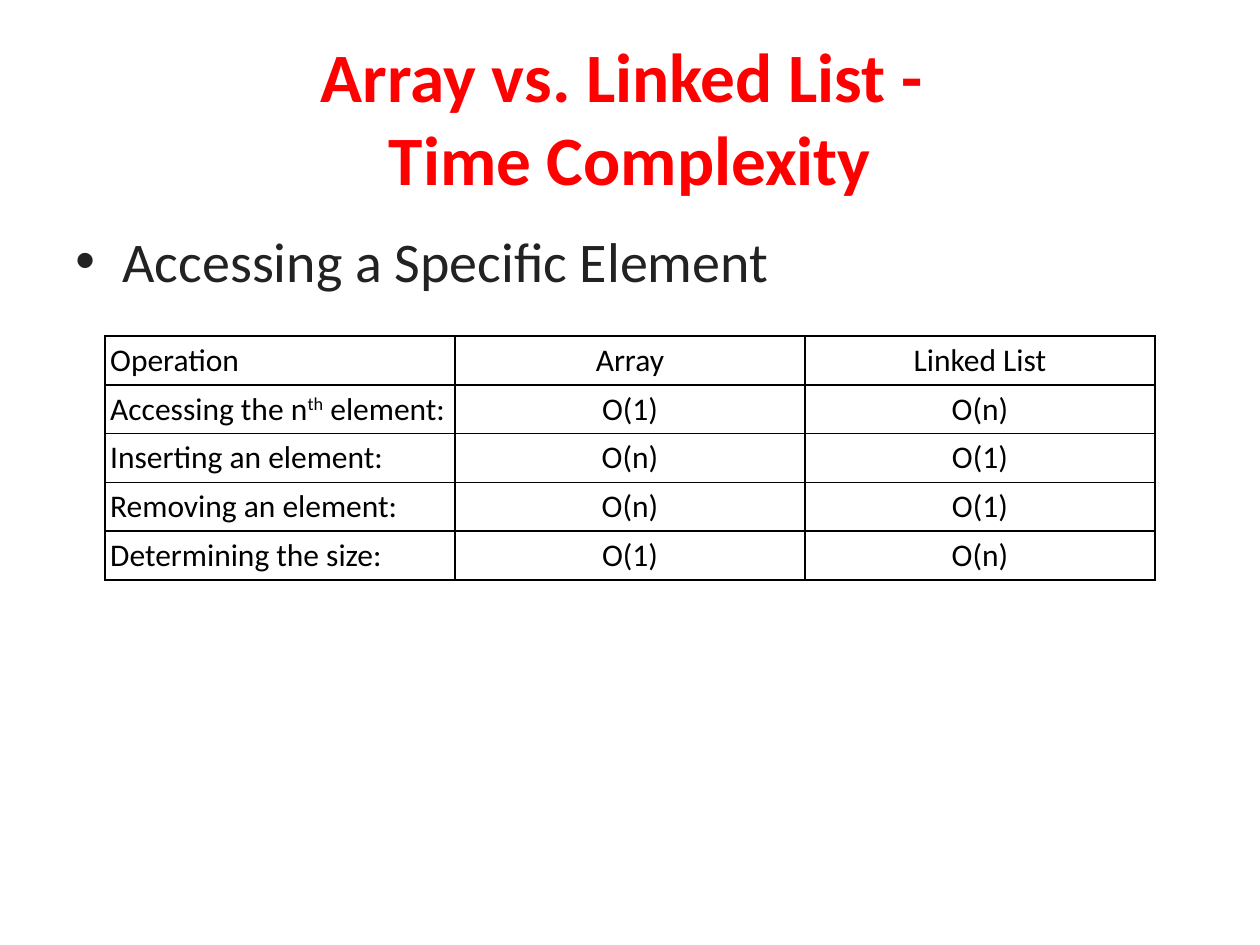
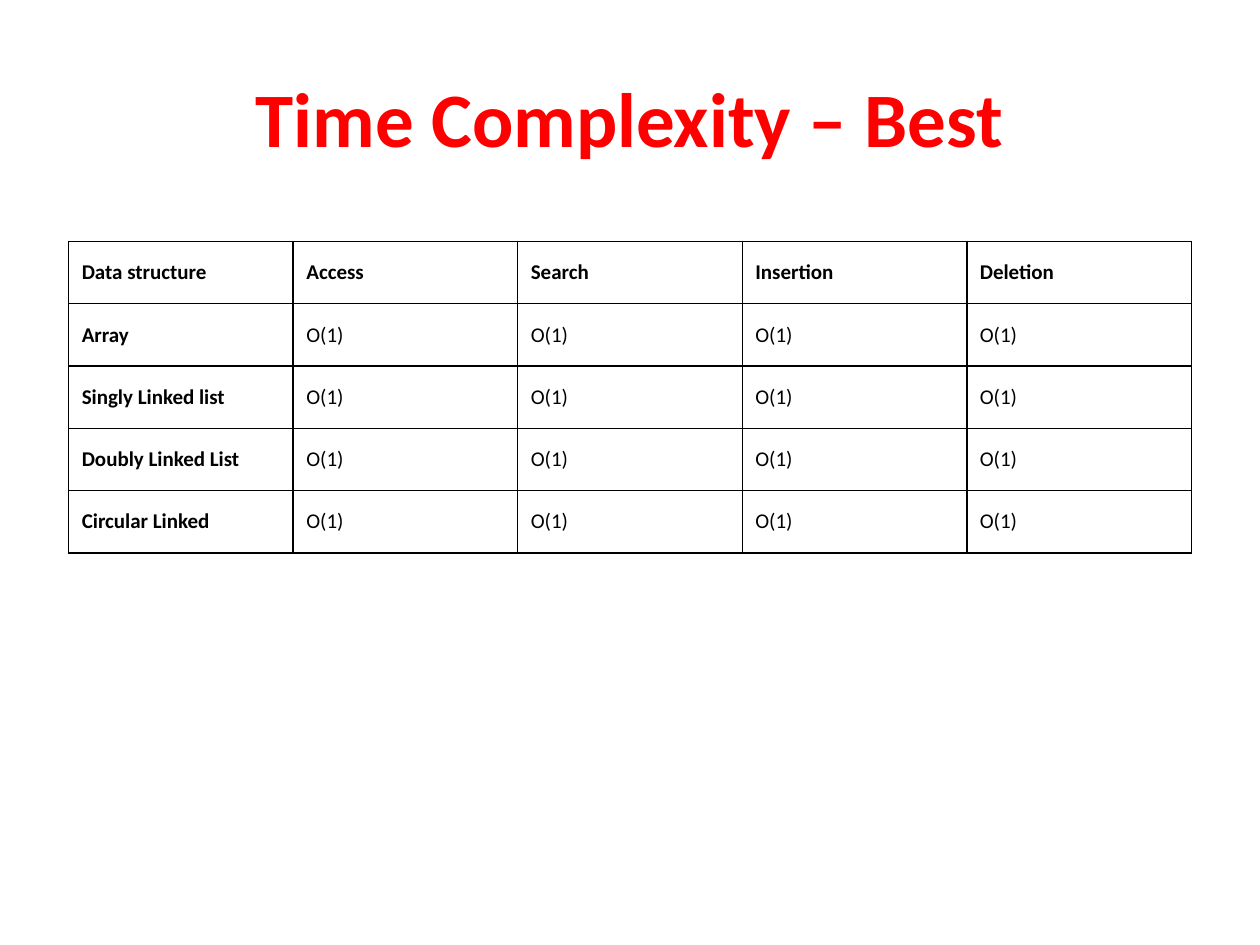
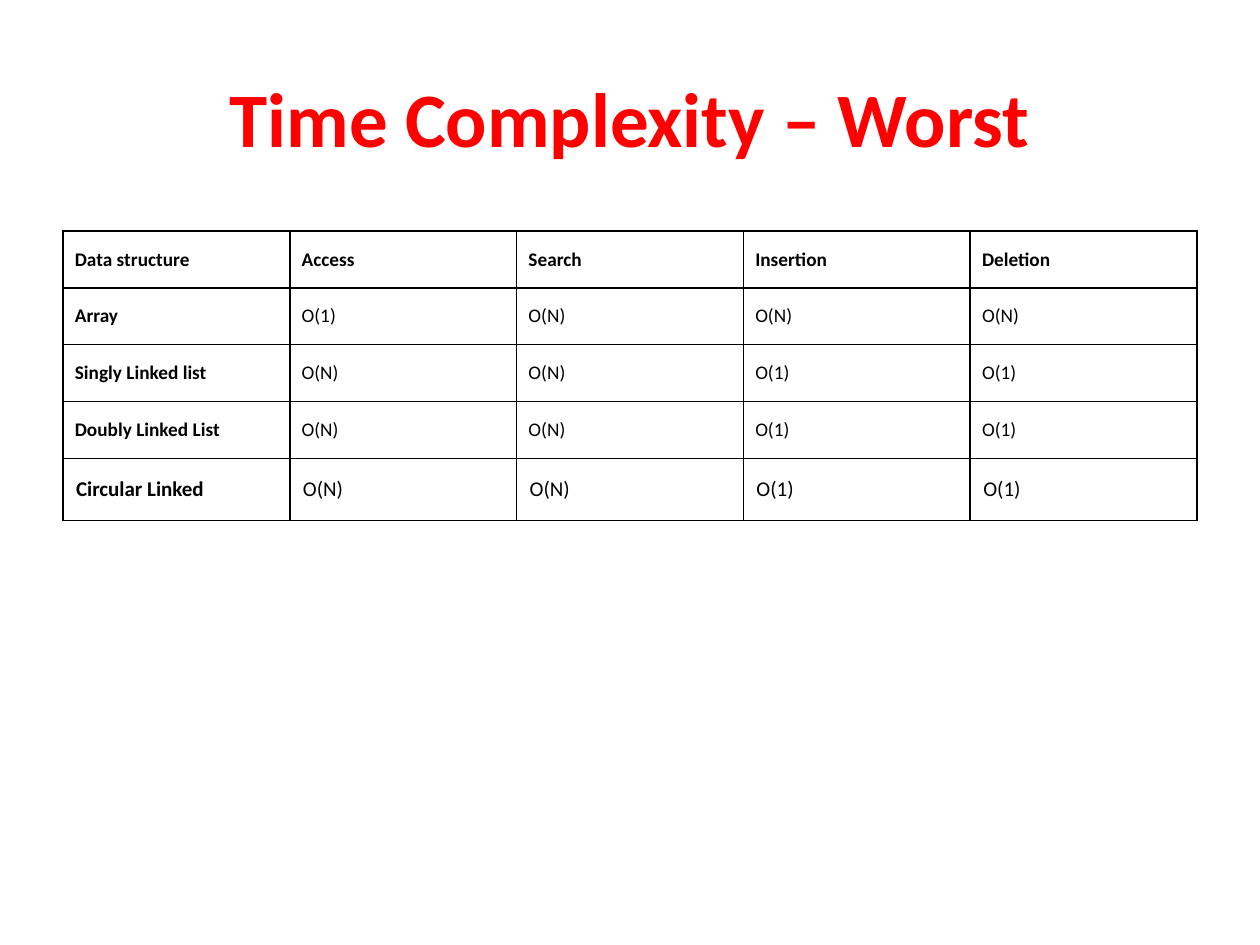
"""Three slides on the time complexity of arrays and linked lists."""
from lxml import etree
from pptx import Presentation
from pptx import util as u
from pptx.dml.color import RGBColor
from pptx.enum import text
from pptx.oxml import ns

Pt = u.Pt
COLORS = {"title": "FF0000", "body": "222222", "table": "000000"}
FONT = "Calibri"
HEADS = ["Data structure", "Access", "Search", "Insertion", "Deletion"]
STRUCTURES = ["Array", "Singly Linked list", "Doubly Linked List", "Circular Linked"]


def add_text(p, content, size=18, color="table", bold=False, align=None, baseline=None):
    """Add one formatted run to a paragraph; a newline becomes a line break."""
    if align is not None:
        p.alignment = align
    for i, line in enumerate(content.split("\n")):
        if i:
            p.add_line_break()
        r = p.add_run()
        r.text = line
        r.font.name, r.font.size, r.font.bold = FONT, Pt(size), bold
        r.font.color.rgb = RGBColor.from_string(COLORS[color])
        if baseline is not None:
            r._r.get_or_add_rPr().set("baseline", str(baseline * 1000))


def add_borders(cell, width=1):
    """Draw a solid line on all four sides of a cell."""
    tcPr = cell._tc.get_or_add_tcPr()
    for i, side in enumerate(("lnL", "lnR", "lnT", "lnB")):
        ln = etree.Element(ns.qn("a:" + side), w=str(Pt(width)))
        fill = etree.SubElement(ln, ns.qn("a:solidFill"))
        etree.SubElement(fill, ns.qn("a:srgbClr"), val=COLORS["table"])
        tcPr.insert(i, ln)


class Deck:
    """Shared style and the slide being built."""

    def __init__(self):
        """Start an empty 4:3 presentation."""
        self.prs = Presentation()
        self.prs.slide_width, self.prs.slide_height = Pt(720), Pt(540)
        self.slide = None

    def new_slide(self, title, size=44):
        """Add a blank slide with a centred title."""
        self.slide = self.prs.slides.add_slide(self.prs.slide_layouts[6])
        tf = self.box(36, 21.6, 648, 90)
        tf.vertical_anchor = text.MSO_ANCHOR.MIDDLE
        add_text(tf.paragraphs[0], title, size=size, color="title", bold=True,
                 align=text.PP_ALIGN.CENTER)

    def box(self, x, y, w, h):
        """Add a wrapping text box and return its text frame."""
        sp = self.slide.shapes.add_textbox(Pt(x), Pt(y), Pt(w), Pt(h))
        sp.text_frame.word_wrap = True
        return sp.text_frame

    def bullet(self, content):
        """Add the body text with one bullet."""
        p = self.box(36, 126, 648, 356.4).paragraphs[0]
        p.space_before = Pt(6.4)
        pPr = p._p.get_or_add_pPr()
        pPr.set("marL", str(Pt(27)))
        pPr.set("indent", str(-Pt(27)))
        etree.SubElement(pPr, ns.qn("a:buFont"), typeface="Arial")
        etree.SubElement(pPr, ns.qn("a:buChar"), char="•")
        add_text(p, content, size=32, color="body")

    def table(self, rows, y, width, formats, centered=False, bold_heads=True):
        """Add a centred table; formats holds (row height, size, inset x, inset y) per row."""
        n = len(rows[0])
        x = (720 - width) / 2
        height = sum(f[0] for f in formats)
        frame = self.slide.shapes.add_table(len(rows), n, Pt(x), Pt(y), Pt(width), Pt(height))
        tbl = frame.table
        tbl.first_row = tbl.horz_banding = False
        for col in tbl.columns:
            col.width = Pt(width / n)
        for i, (row, (row_height, size, dx, dy)) in enumerate(zip(rows, formats)):
            tbl.rows[i].height = Pt(row_height)
            for j, content in enumerate(row):
                cell = tbl.cell(i, j)
                cell.fill.background()
                add_borders(cell)
                cell.vertical_anchor = text.MSO_ANCHOR.MIDDLE
                cell.margin_left = cell.margin_right = Pt(dx)
                cell.margin_top = cell.margin_bottom = Pt(dy)
                align = text.PP_ALIGN.CENTER if centered and j else text.PP_ALIGN.LEFT
                runs = [(content, None)] if isinstance(content, str) else content
                for part, baseline in runs:
                    add_text(cell.text_frame.paragraphs[0], part, size=size, align=align,
                             bold=bold_heads and 0 in (i, j), baseline=baseline)


def complexity_rows(costs):
    """Join the structure names with their costs under the shared header."""
    return [HEADS] + [[name] + [f"O({c})" for c in row] for name, row in zip(STRUCTURES, costs)]


def main():
    """Build and save the slides."""
    deck = Deck()
    deck.new_slide("Array vs. Linked List - \nTime Complexity", size=39.6)
    deck.bullet("Accessing a Specific Element")
    deck.table([
        ["Operation", "Array", "Linked List"],
        [[("Accessing the n", None), ("th", 30), ("\u00a0element:", None)], "O(1)", "O(n)"],
        ["Inserting an element:", "O(n)", "O(1)"],
        ["Removing an element:", "O(n)", "O(1)"],
        ["Determining the size:", "O(1)", "O(n)"],
    ], 192, 600, [(27.9, 18, 3, 3)] * 5, centered=True, bold_heads=False)

    large, small = (35.6, 12, 7.5, 10.4), (32.5, 11, 6.8, 9.5)
    deck.new_slide("Time Complexity – Best")
    deck.table(complexity_rows(["1111"] * 4), 138, 641.5, [large] * 5)

    deck.new_slide("Time Complexity – Worst")
    deck.table(complexity_rows(["1NNN"] + ["NN11"] * 3), 132, 648, [small] * 4 + [large])
    deck.prs.save("out.pptx")


main()
